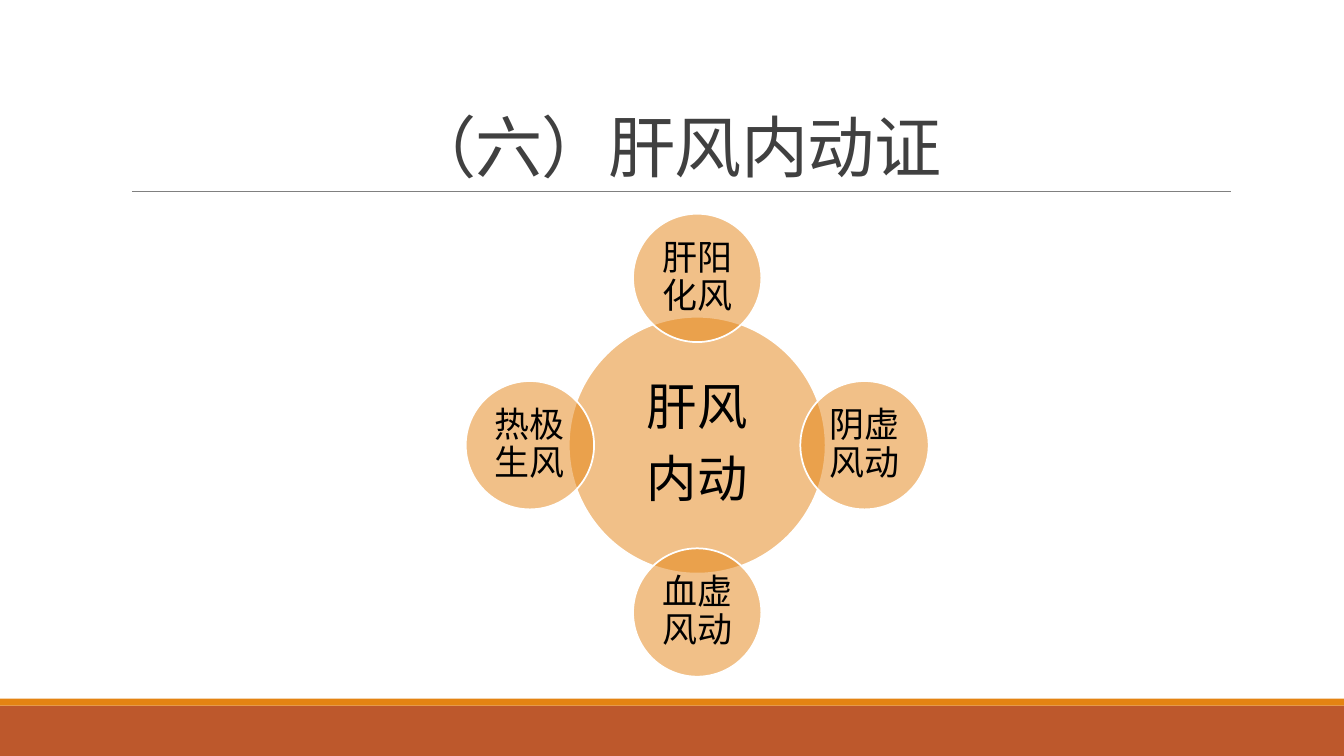
from typing import NamedTuple

from lxml import etree
from pptx import Presentation
from pptx.dml.color import RGBColor
from pptx.enum.shapes import MSO_CONNECTOR, MSO_SHAPE
from pptx.enum.text import MSO_ANCHOR, PP_ALIGN
from pptx.oxml.ns import qn
from pptx.util import Pt

ELLIPSE, RECTANGLE = MSO_SHAPE.OVAL, MSO_SHAPE.RECTANGLE
STRAIGHT = MSO_CONNECTOR.STRAIGHT
MIDDLE, BOTTOM = MSO_ANCHOR.MIDDLE, MSO_ANCHOR.BOTTOM
CENTER = PP_ALIGN.CENTER

FONT = "Noto Sans CJK SC"
ORANGE, RUST, WHITE, BLACK = "E48312", "BD582C", "FFFFFF", "000000"
TITLE_GREY, RULE_GREY = "404040", "808080"
SLIDE_WIDTH, SLIDE_HEIGHT = 960, 540
HUB_X, HUB_Y, ORBIT = 498, 318, 119.5
TEXT_SHARE = 0.707  # side of the square inscribed in a circle


class Band(NamedTuple):
    top: float
    height: float
    color: str


class Circle(NamedTuple):
    lines: list[str]
    dx: int  # direction from the hub, in orbits
    dy: int
    diameter: float
    size: float
    inset: float


def satellite(syndrome: str, dx: int, dy: int) -> Circle:
    return Circle([syndrome], dx, dy, 91.7, 25, 2.2)


BANDS = [Band(504, 36, RUST), Band(499, 5, ORANGE)]
CIRCLES = [
    Circle(["肝风", "内动"], 0, 0, 183.5, 36, 3.6),
    satellite("肝阳化风", 0, -1),
    satellite("阴虚风动", 1, 0),
    satellite("血虚风动", 0, 1),
    satellite("热极生风", -1, 0),
]


def rgb(color: str) -> RGBColor:
    return RGBColor.from_string(color)


def add_text(slide, lines: list[str], left: float, top: float, width: float,
             height: float, *, size: float, color: str, anchor: MSO_ANCHOR,
             line_spacing: float, space_after: float = 0,
             inset_x: float = 7.2, inset_y: float = 3.6,
             tracking: float = 0) -> None:
    frame = slide.shapes.add_textbox(
        Pt(left), Pt(top), Pt(width), Pt(height)).text_frame
    frame.word_wrap = True
    frame.vertical_anchor = anchor
    frame.margin_left = frame.margin_right = Pt(inset_x)
    frame.margin_top = frame.margin_bottom = Pt(inset_y)
    frame.text = "\n".join(lines)
    for paragraph in frame.paragraphs:
        paragraph.alignment = CENTER
        paragraph.line_spacing = line_spacing
        paragraph.space_after = Pt(space_after)
        for run in paragraph.runs:
            run.font.size = Pt(size)
            run.font.name = FONT
            run.font.color.rgb = rgb(color)
            properties = run.font._element
            etree.SubElement(properties, qn("a:ea"), typeface=FONT)
            if tracking:
                properties.set("spc", str(round(tracking * 100)))


def add_band(slide, band: Band) -> None:
    shape = slide.shapes.add_shape(
        RECTANGLE, 0, Pt(band.top), Pt(SLIDE_WIDTH), Pt(band.height))
    shape.shadow.inherit = False
    shape.fill.solid()
    shape.fill.fore_color.rgb = rgb(band.color)
    shape.line.fill.background()


def add_title_rule(slide) -> None:
    rule = slide.shapes.add_connector(
        STRAIGHT, Pt(94.3), Pt(136.8), Pt(879), Pt(136.8))
    rule.line.color.rgb = rgb(RULE_GREY)
    rule.line.width = Pt(0.5)
    etree.SubElement(rule._element.spPr, qn("a:effectLst"))


def add_circle(slide, circle: Circle) -> None:
    """Draw a half-transparent circle and its text in the inscribed square."""
    x = HUB_X + circle.dx * ORBIT
    y = HUB_Y + circle.dy * ORBIT
    radius = circle.diameter / 2
    shape = slide.shapes.add_shape(
        ELLIPSE, Pt(x - radius), Pt(y - radius),
        Pt(circle.diameter), Pt(circle.diameter))
    shape.shadow.inherit = False
    shape.fill.solid()
    shape.fill.fore_color.rgb = rgb(ORANGE)
    fill_color = shape._element.spPr.find(qn("a:solidFill"))[0]
    etree.SubElement(fill_color, qn("a:alpha"), val="50000")
    shape.line.color.rgb = rgb(WHITE)
    shape.line.width = Pt(1.25)

    side = circle.diameter * TEXT_SHARE
    add_text(slide, circle.lines, x - side / 2, y - side / 2, side, side,
             size=circle.size, color=BLACK, anchor=MIDDLE, line_spacing=0.9,
             space_after=circle.size * 0.35,
             inset_x=circle.inset, inset_y=circle.inset)


def main() -> None:
    presentation = Presentation()
    presentation.slide_width = Pt(SLIDE_WIDTH)
    presentation.slide_height = Pt(SLIDE_HEIGHT)
    slide = presentation.slides.add_slide(presentation.slide_layouts[6])
    for band in BANDS:
        add_band(slide, band)
    add_title_rule(slide)
    add_text(slide, ["（六）肝风内动证"], 86.4, 22.3, 792, 114.5,
             size=48, color=TITLE_GREY, anchor=BOTTOM, line_spacing=0.85,
             tracking=-0.5)
    for circle in CIRCLES:
        add_circle(slide, circle)
    presentation.save("out.pptx")


if __name__ == "__main__":
    main()
